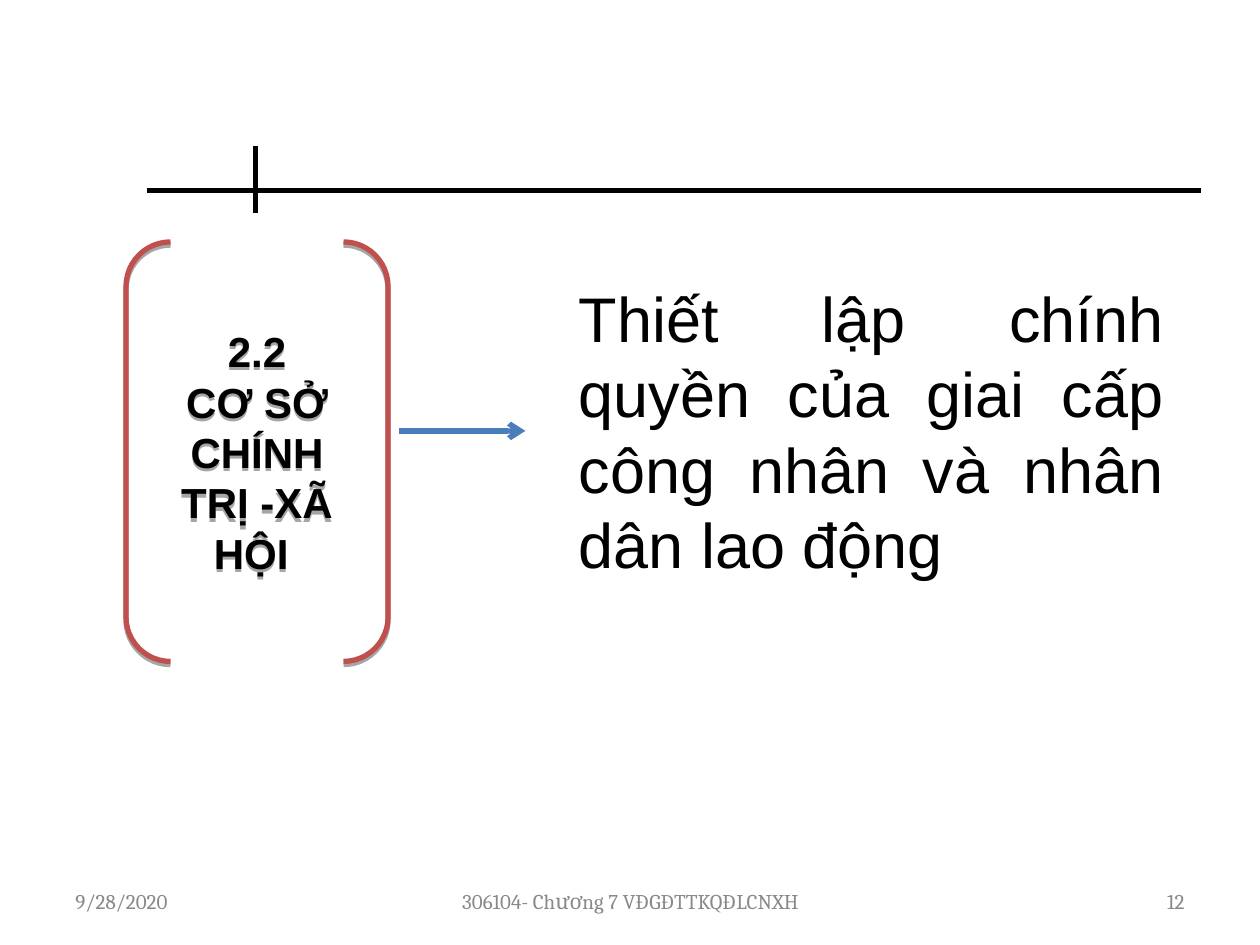
from pptx import Presentation
from pptx.dml.color import RGBColor
from pptx.enum.shapes import MSO_CONNECTOR, MSO_SHAPE
from pptx.enum.text import MSO_ANCHOR, PP_ALIGN
from pptx.oxml import parse_xml
from pptx.oxml.ns import nsdecls, qn
from pptx.util import Inches, Pt

BLACK = RGBColor(0x00, 0x00, 0x00)
RED = RGBColor(0xC0, 0x50, 0x4D)
BLUE = RGBColor(0x4A, 0x7E, 0xBB)
GRAY = RGBColor(0x89, 0x89, 0x89)


def write_text(frame, text, size, font="Arial", color=BLACK, bold=False, align=PP_ALIGN.LEFT):
    frame.word_wrap = True
    frame.vertical_anchor = MSO_ANCHOR.MIDDLE
    for index, line in enumerate(text.split("\n")):
        para = frame.add_paragraph() if index else frame.paragraphs[0]
        para.alignment = align
        span = para.add_run()
        span.text = line
        span.font.name = font
        span.font.size = Pt(size)
        span.font.bold = bold
        span.font.color.rgb = color


class SlideBuilder:
    line_width = Pt(3)
    footer_top = 6.95
    footer_height = 0.4

    def __init__(self, page):
        self.page = page

    def line(self, start, end, color=BLACK, arrow=False):
        connector = self.page.shapes.add_connector(
            MSO_CONNECTOR.STRAIGHT, *map(Inches, (*start, *end)))
        connector.line.color.rgb = color
        connector.line.width = self.line_width
        if arrow:
            connector.line._get_or_add_ln().append(
                parse_xml(f'<a:tailEnd {nsdecls("a")} type="arrow"/>'))
        connector._element.spPr.append(parse_xml(f'<a:effectLst {nsdecls("a")}/>'))

    def bracket(self, area, text, line_color=None, **style):
        box = self.page.shapes.add_shape(MSO_SHAPE.DOUBLE_BRACKET, *map(Inches, area))
        box.adjustments[0] = 0.17
        box.shadow.inherit = False
        box.fill.background()
        if line_color is None:
            box.line.fill.background()
        else:
            box.line.color.rgb = line_color
            box.line.width = self.line_width
            self.drop_shadow(box)
        write_text(box.text_frame, text, **style)

    def drop_shadow(self, box):
        box._element.spPr.find(qn("a:effectLst")).append(parse_xml(
            f'<a:outerShdw {nsdecls("a")} blurRad="0" dist="{Pt(1.8)}" dir="5400000" '
            'rotWithShape="0"><a:srgbClr val="000000"><a:alpha val="35000"/>'
            '</a:srgbClr></a:outerShdw>'))

    def footer(self, left, width, text, align):
        box = self.page.shapes.add_textbox(
            *map(Inches, (left, self.footer_top, width, self.footer_height)))
        write_text(box.text_frame, text, size=12, font="Cambria", color=GRAY, align=align)


def main():
    deck = Presentation()
    deck.slide_width = Inches(10)
    deck.slide_height = Inches(7.5)
    slide = SlideBuilder(deck.slides.add_slide(deck.slide_layouts[6]))

    slide.line((1.17, 1.51), (9.53, 1.51))
    slide.line((2.03, 1.16), (2.03, 1.69))
    slide.bracket((1, 1.92, 2.08, 3.33), "2.2\nCƠ SỞ CHÍNH TRỊ -XÃ HỘI ",
                  line_color=RED, size=24, bold=True, align=PP_ALIGN.CENTER)
    slide.bracket((4.33, 1.75, 5.17, 3.33),
                  "Thiết lập chính quyền của giai cấp công nhân và nhân dân lao động",
                  size=36, align=PP_ALIGN.JUSTIFY)
    slide.line((3.17, 3.42), (4.17, 3.42), color=BLUE, arrow=True)

    slide.footer(0.5, 2.33, "9/28/2020", PP_ALIGN.LEFT)
    slide.footer(3.42, 3.17, "306104- Chương 7 VĐGĐTTKQĐLCNXH", PP_ALIGN.CENTER)
    slide.footer(7.17, 2.33, "12", PP_ALIGN.RIGHT)
    deck.save("out.pptx")


if __name__ == "__main__":
    main()
